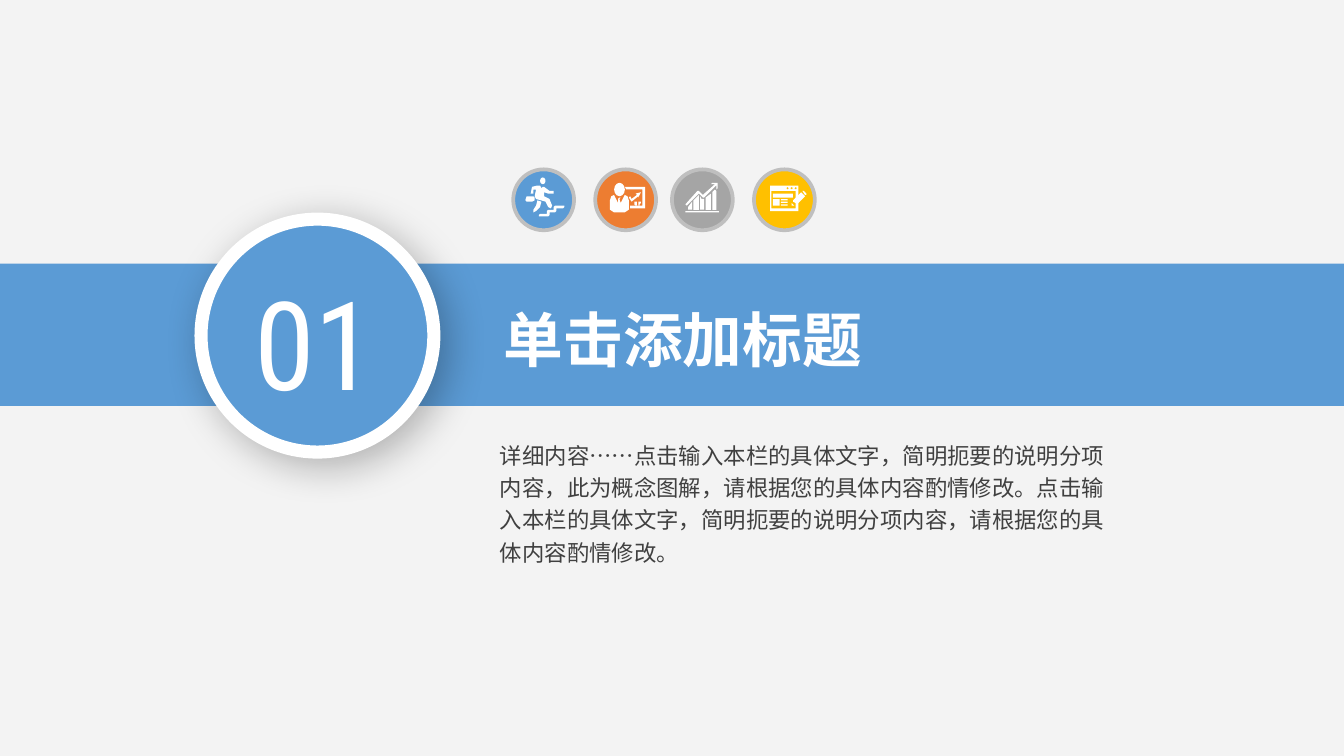
from lxml.etree import SubElement
from pptx import Presentation
from pptx.dml.color import RGBColor
from pptx.enum.shapes import MSO_SHAPE
from pptx.enum.text import MSO_ANCHOR, MSO_AUTO_SIZE, PP_ALIGN
from pptx.oxml.ns import qn
from pptx.util import Cm, Pt

TITLE = "单击添加标题"
NUMBER = "01"
DETAIL = ("详细内容……点击输入本栏的具体文字，简明扼要的说明分项内容，此为概念图解，"
          "请根据您的具体内容酌情修改。点击输入本栏的具体文字，简明扼要的说明分项内容，"
          "请根据您的具体内容酌情修改。")
CJK, DIGITS = "Noto Sans CJK SC", "Roboto Condensed"
BLUE, WHITE, RING, INK, PAPER = "5B9BD5", "FFFFFF", "BFBFBF", "404040", "F3F3F3"

# Icon parts are drawn on a fine grid that starts at the badge's top left corner.
GRID = Cm(0.0254)
BADGE_TOP, BADGE_SIZE = 3.2, 1.15

CLIMBER = {
    "ovals": [(20, 6, 4, 5)],
    "outlines": [
        [[(20, 33), (25, 33), (25, 31), (26, 30), (30, 30), (30, 28), (31, 27), (38, 27),
          (38, 28), (37, 29), (32, 29), (32, 31), (31, 32), (27, 32), (27, 34), (26, 35),
          (19, 35), (19, 34)]],
        [[(10, 24), (14, 24), (16, 23), (16, 21), (15, 20), (10, 20), (9, 23)]],
        [[(15, 30), (17, 27), (18, 23), (21, 24), (20, 28), (17, 31), (15, 32)]],
        [[(22, 13), (23, 13), (27, 16), (30, 16), (30, 18), (26, 18), (23, 17), (23, 20),
          (27, 22), (29, 27), (28, 29), (26, 28), (24, 24), (17, 22), (16, 20), (17, 15),
          (15, 15), (15, 18), (13, 18), (14, 13), (18, 12), (20, 12), (21, 14)]],
    ],
}
PRESENTER = {
    "ovals": [(14, 10, 8, 10)],
    "outlines": [
        [[(22, 13), (23, 15), (35, 15), (35, 27), (26, 27), (26, 29), (37, 29), (37, 13)]],
        [[(26, 20), (25, 21), (27, 24), (32, 20), (32, 21), (34, 17), (30, 18), (31, 19),
          (27, 22)]],
        [[(22, 19), (19, 25), (18, 22), (19, 21), (18, 21), (17, 22), (17, 25), (14, 19),
          (12, 20), (11, 23), (11, 30), (14, 32), (18, 32), (22, 32), (25, 30), (25, 23),
          (24, 20)]],
        [[(29, 24), (29, 26), (30, 27), (31, 27), (31, 24)]],
        [[(32, 24), (32, 27), (33, 27), (33, 26), (34, 25), (34, 24)]],
    ],
}
GROWTH = {
    "boxes": [(10, 31, 25, 1)],
    "outlines": [
        [[(12, 30), (15, 30), (15, 24), (12, 28)]],
        [[(16, 30), (20, 30), (20, 19), (16, 23)]],
        [[(21, 20), (21, 30), (24, 30), (24, 22), (22, 22)]],
        [[(25, 30), (29, 30), (29, 18), (25, 21)]],
        [[(32, 15), (30, 17), (30, 30), (33, 30), (33, 16)]],
        [[(11, 27), (20, 18), (23, 21), (24, 21), (33, 12), (33, 15), (34, 14), (34, 10),
          (30, 10), (29, 11), (32, 11), (23, 19), (20, 16), (19, 16), (10, 26)]],
    ],
}
FORM = {
    "boxes": [(14, 18, 15, 3), (14, 22, 5, 5)] + [(20, y, 5, 1) for y in (22, 24, 26)],
    "outlines": [
        [[(12, 12), (33, 12), (33, 31), (12, 31)], [(13, 16), (13, 29), (31, 29), (31, 16)]]
        + [[(x - 1, 14), (x, 15), (x + 1, 14), (x, 13)] for x in (25, 28, 31)],
        [[(28, 25), (28, 27), (30, 27)]],
        [[(38, 19), (39, 19), (39, 18), (37, 16), (36, 16)]],
        [[(35, 17), (29, 23), (29, 24), (31, 25), (32, 26), (38, 20)]],
    ],
}
# left edge in cm, fill, icon
BADGES = [(9.7, BLUE, CLIMBER), (11.25, "ED7D31", PRESENTER),
          (12.7, "A5A5A5", GROWTH), (14.25, "FFC000", FORM)]


def rgb(hex_text):
    """Turn a hex string into a colour."""
    return RGBColor.from_string(hex_text)


def paint(shape, fill, ring=None, ring_width=0):
    """Give a shape a flat fill and an optional ring."""
    shape.shadow.inherit = False
    shape.fill.solid()
    shape.fill.fore_color.rgb = rgb(fill)
    if ring:
        shape.line.color.rgb = rgb(ring)
        shape.line.width = Pt(ring_width)
    else:
        shape.line.fill.background()
    return shape


def write(shape, text, size, color, font=CJK, bold=False, align=PP_ALIGN.LEFT,
          spacing=1.0, inset=(0.18, 0.1)):
    """Put one formatted paragraph into a shape."""
    frame = shape.text_frame
    frame.word_wrap = True
    frame.auto_size = MSO_AUTO_SIZE.NONE
    frame.vertical_anchor = MSO_ANCHOR.TOP
    frame.margin_left = frame.margin_right = Cm(inset[0])
    frame.margin_top = frame.margin_bottom = Cm(inset[1])
    paragraph = frame.paragraphs[0]
    paragraph.alignment, paragraph.line_spacing = align, spacing
    run = paragraph.add_run()
    run.text = text
    run.font.name, run.font.size, run.font.bold = font, Pt(size), bold
    run.font.color.rgb = rgb(color)
    properties = run.font._element
    properties.set("lang", "zh-CN")
    SubElement(properties, qn("a:ea")).set("typeface", font)


def add_outline(shapes, contours, left, top):
    """Draw closed contours as one white shape; inner contours are holes."""
    builder = shapes.build_freeform(*contours[0][0], scale=GRID)
    builder.add_line_segments(contours[0][1:], close=True)
    for hole in contours[1:]:
        builder.move_to(*hole[0])
        builder.add_line_segments(hole[1:], close=True)
    paint(builder.convert_to_shape(left, top), WHITE)


def add_badge(slide, left, fill, icon):
    """Draw a ringed disc with its icon as one group."""
    shapes = slide.shapes.add_group_shape().shapes
    left, top, size = Cm(left), Cm(BADGE_TOP), Cm(BADGE_SIZE)
    paint(shapes.add_shape(MSO_SHAPE.OVAL, left, top, size, size), fill, RING, 2)
    for kind, preset in (("ovals", MSO_SHAPE.OVAL), ("boxes", MSO_SHAPE.RECTANGLE)):
        for x, y, width, height in icon.get(kind, []):
            paint(shapes.add_shape(preset, left + x * GRID, top + y * GRID,
                                   width * GRID, height * GRID), WHITE)
    for contours in icon["outlines"]:
        add_outline(shapes, contours, left, top)


def add_soft_shadow(shape, blur, distance, angle, opacity):
    """Give a shape a blurred black outer shadow."""
    effects = shape._element.spPr.find(qn("a:effectLst"))
    shadow = SubElement(effects, qn("a:outerShdw"), blurRad=str(Pt(blur)),
                        dist=str(Pt(distance)), dir=str(angle * 60000),
                        algn="tl", rotWithShape="0")
    black = SubElement(shadow, qn("a:srgbClr"), val="000000")
    SubElement(black, qn("a:alpha"), val=str(opacity * 1000))


deck = Presentation()
deck.slide_width, deck.slide_height = Cm(25.4), Cm(14.28)
slide = deck.slides.add_slide(deck.slide_layouts[5])
slide.background.fill.solid()
slide.background.fill.fore_color.rgb = rgb(PAPER)

band = slide.shapes.add_shape(MSO_SHAPE.RECTANGLE, 0, Cm(4.98), deck.slide_width, Cm(2.69))
paint(band, BLUE)

title = slide.shapes.title
title.left, title.top, title.width, title.height = Cm(9.27), Cm(5.59), Cm(8.99), Cm(1.63)
write(title, TITLE, 32, WHITE, bold=True, inset=(0.25, 0.13))
band._element.addnext(title._element)

detail = slide.shapes.add_textbox(Cm(9.27), Cm(8.15), Cm(11.84), Cm(2.67))
write(detail, DETAIL, 12, INK, spacing=1.2)

for left, fill, icon in BADGES:
    add_badge(slide, left, fill, icon)

number_group = slide.shapes.add_group_shape().shapes
disc = number_group.add_shape(MSO_SHAPE.OVAL, Cm(3.8), Cm(4.14), Cm(4.4), Cm(4.4))
add_soft_shadow(paint(disc, BLUE, WHITE, 7), blur=22, distance=6, angle=45, opacity=28)
number = number_group.add_textbox(Cm(4.29), Cm(4.95), Cm(3.33), Cm(3.02))
write(number, NUMBER, 66, WHITE, font=DIGITS, align=PP_ALIGN.CENTER)

deck.save("out.pptx")
